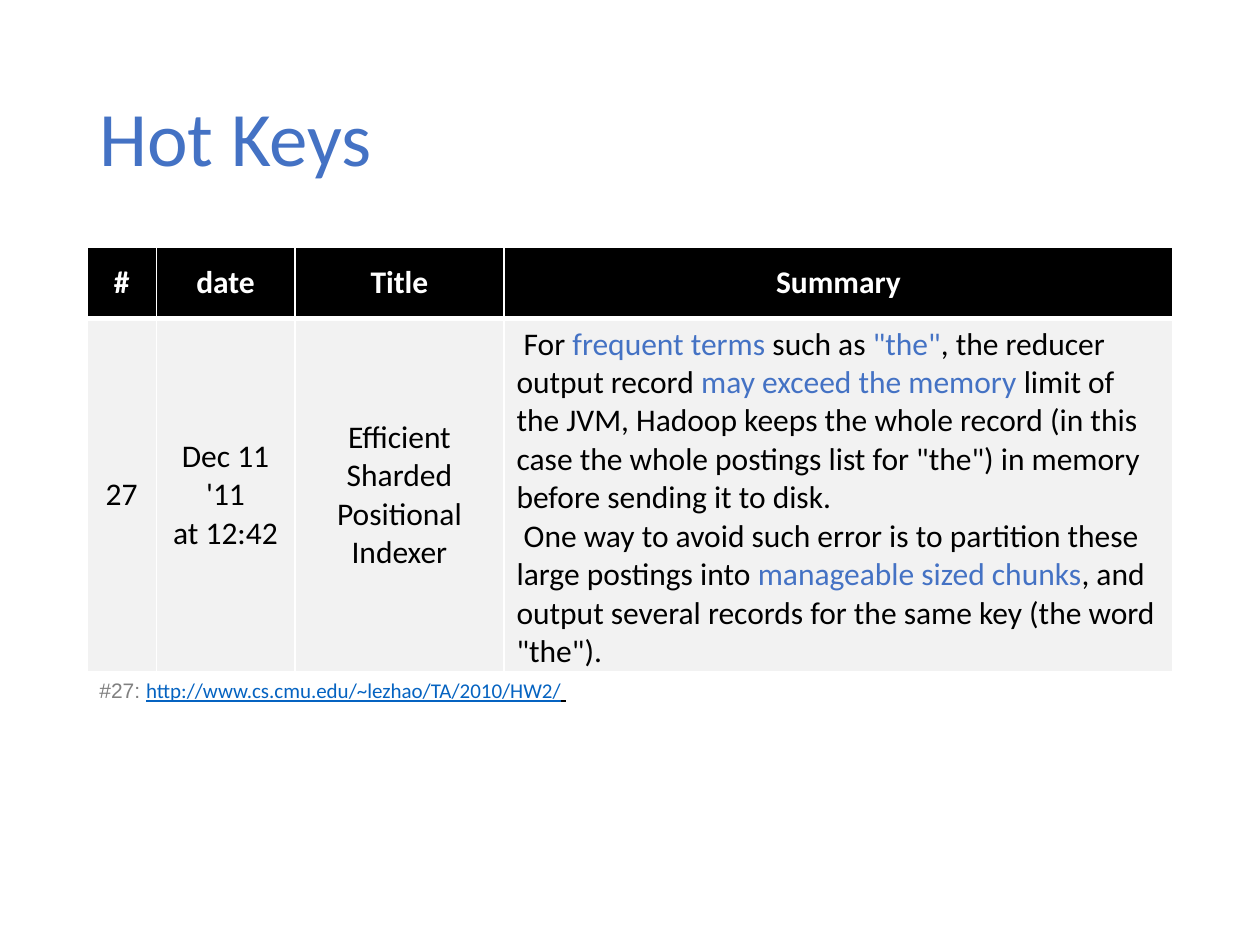
from lxml.etree import SubElement
from pptx import Presentation
from pptx.dml.color import RGBColor
from pptx.enum.text import MSO_ANCHOR, PP_ALIGN
from pptx.oxml.ns import qn
from pptx.util import Inches, Pt

BLUE = RGBColor(0x44, 0x72, 0xC4)
LINK = RGBColor(0x05, 0x63, 0xC1)
GRAY = RGBColor(0x80, 0x80, 0x80)
PALE = RGBColor(0xF2, 0xF2, 0xF2)
BLACK = RGBColor(0, 0, 0)
WHITE = RGBColor(0xFF, 0xFF, 0xFF)

COLUMN_WIDTHS = [0.55, 1.1, 1.66, 5.31]
ROW_HEIGHTS = [0.57, 2.8]
HEADERS = ["#", "date", "Title", "Summary"]
ENTRY = ["27", "Dec 11 '11\nat 12:42", "Efficient Sharded Positional Indexer"]
# Each paragraph alternates plain and highlighted text.
SUMMARY = [
    [" For ", "frequent terms ", "such as ", '"the"', ", the reducer output record ",
     "may exceed the memory ",
     'limit of the JVM, Hadoop keeps the whole record (in this case the whole '
     'postings list for "the") in memory before sending it to disk.'],
    [" One way to avoid such error is to partition these large postings into ",
     "manageable sized chunks",
     ', and output several records for the same key (the word "the").'],
]


def write(p, text, size=18, color=BLACK, font="Calibri", bold=False,
          underline=False, align=None):
    if align is not None:
        p.alignment = align
    for i, line in enumerate(text.split("\n")):
        if i:
            p.add_line_break()
        r = p.add_run()
        r.text = line
        r.font.name, r.font.size = font, Pt(size)
        r.font.bold, r.font.underline = bold, underline
        r.font.color.rgb = color


def add_text_box(s, left, top, width, height, anchor=MSO_ANCHOR.TOP):
    tf = s.shapes.add_textbox(Inches(left), Inches(top),
                              Inches(width), Inches(height)).text_frame
    tf.word_wrap = True
    tf.vertical_anchor = anchor
    return tf.paragraphs[0]


def format_cell(cell, fill, top, bottom):
    """Fill the cell and give it white borders; top and bottom are in points."""
    cell.vertical_anchor = MSO_ANCHOR.MIDDLE
    tcPr = cell._tc.get_or_add_tcPr()
    for side, width in (("L", 1), ("R", 1), ("T", top), ("B", bottom)):
        ln = SubElement(tcPr, qn(f"a:ln{side}"), w=str(Pt(width)))
        solid = SubElement(ln, qn("a:solidFill"))
        SubElement(solid, qn("a:srgbClr"), val=str(WHITE))
    cell.fill.solid()
    cell.fill.fore_color.rgb = fill


def add_title(s, left, top, width, height):
    p = add_text_box(s, left, top, width, height, MSO_ANCHOR.MIDDLE)
    p.line_spacing = 0.9
    write(p, "Hot Keys", size=44, color=BLUE)


def add_summary_table(s, left, top, width, height):
    table = s.shapes.add_table(len(ROW_HEIGHTS), len(COLUMN_WIDTHS), Inches(left),
                               Inches(top), Inches(width), Inches(height)).table
    for column, w in zip(table.columns, COLUMN_WIDTHS):
        column.width = Inches(w)
    for row, h in zip(table.rows, ROW_HEIGHTS):
        row.height = Inches(h)

    for i, header in enumerate(HEADERS):
        head, body = table.cell(0, i), table.cell(1, i)
        format_cell(head, BLACK, top=1, bottom=3)
        format_cell(body, PALE, top=3, bottom=1)
        write(head.text_frame.paragraphs[0], header, color=WHITE, bold=True,
              align=PP_ALIGN.CENTER)
    for i, text in enumerate(ENTRY):
        write(table.cell(1, i).text_frame.paragraphs[0], text, align=PP_ALIGN.CENTER)

    tf = table.cell(1, len(ENTRY)).text_frame
    for i, parts in enumerate(SUMMARY):
        p = tf.add_paragraph() if i else tf.paragraphs[0]
        for j, text in enumerate(parts):
            write(p, text, color=BLUE if j % 2 else BLACK)


def add_source(s, left, top, width, height):
    p = add_text_box(s, left, top, width, height)
    write(p, "#27: ", size=12, color=GRAY, font="Arial")
    write(p, "http://www.cs.cmu.edu/~lezhao/TA/2010/HW2/", size=12, color=LINK,
          underline=True)
    write(p, " ", size=12, underline=True)


def main():
    prs = Presentation()
    prs.slide_width, prs.slide_height = Inches(10), Inches(7.5)
    s = prs.slides.add_slide(prs.slide_layouts[6])
    add_title(s, 0.69, 0.4, 8.62, 1.45)
    add_summary_table(s, 0.69, 1.96, sum(COLUMN_WIDTHS), sum(ROW_HEIGHTS))
    add_source(s, 0.69, 5.33, 7.85, 0.3)
    prs.save("out.pptx")


if __name__ == "__main__":
    main()
